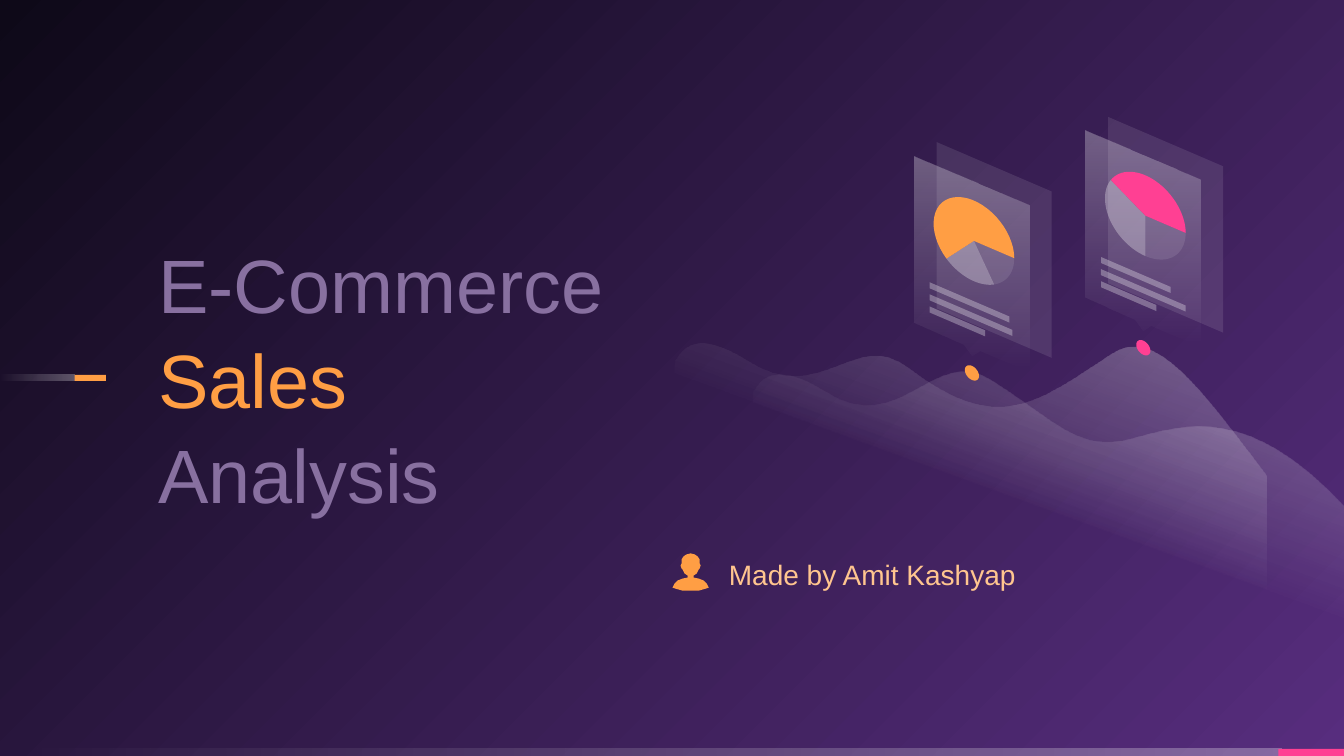
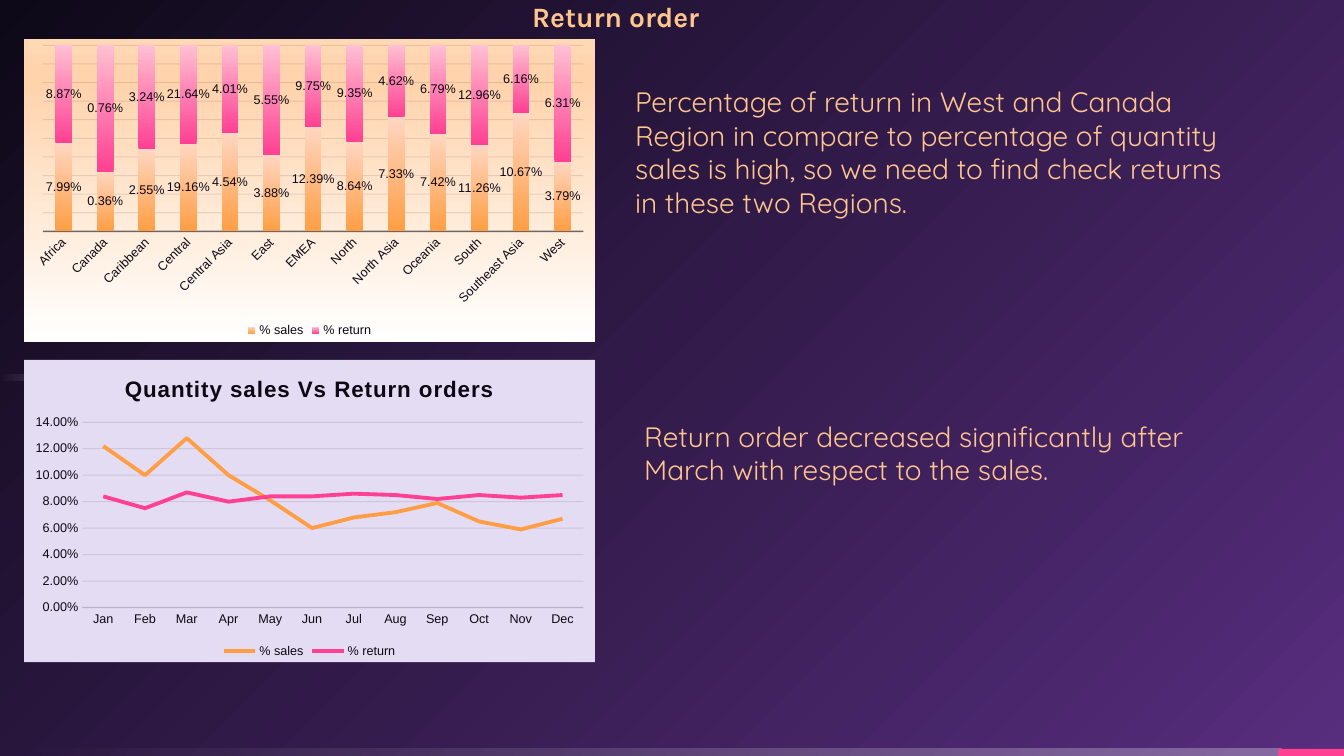
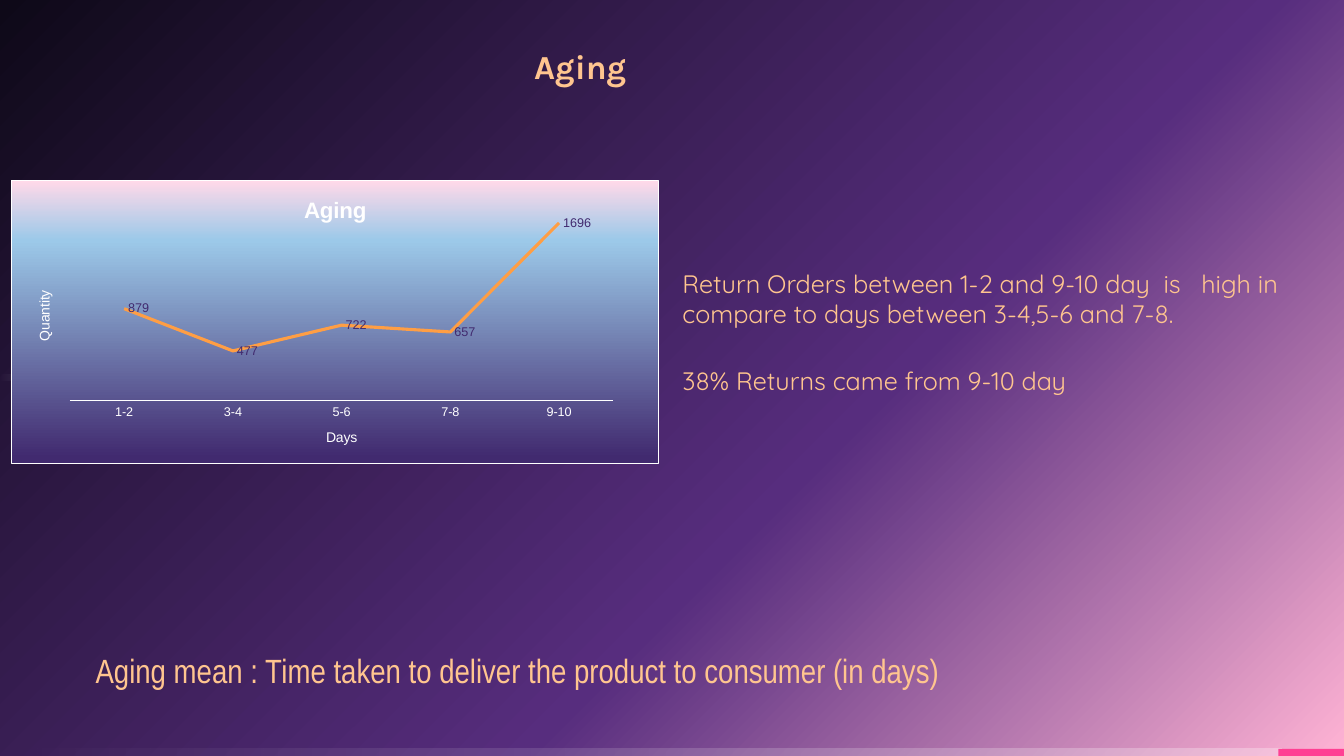
from math import cos, radians, sin

from pptx import Presentation
from pptx.chart.data import CategoryChartData
from pptx.dml.color import RGBColor
from pptx.enum.chart import (XL_CHART_TYPE, XL_LABEL_POSITION,
                             XL_LEGEND_POSITION, XL_TICK_MARK)
from pptx.enum.shapes import MSO_SHAPE
from pptx.enum.text import MSO_ANCHOR
from pptx.oxml import parse_xml
from pptx.oxml.ns import nsdecls, qn
from pptx.util import Inches, Pt

RECT = MSO_SHAPE.RECTANGLE
MIDDLE, TOP = MSO_ANCHOR.MIDDLE, MSO_ANCHOR.TOP
STACK, LINE = XL_CHART_TYPE.COLUMN_STACKED_100, XL_CHART_TYPE.LINE
BOTTOM, RIGHT = XL_LEGEND_POSITION.BOTTOM, XL_LABEL_POSITION.RIGHT
NO_TICK = XL_TICK_MARK.NONE

WHITE = RGBColor(0xFF, 0xFF, 0xFF)
ORANGE = RGBColor(0xFF, 0x9E, 0x44)
PINK = RGBColor(0xFF, 0x40, 0x93)
PEACH = RGBColor(0xFF, 0xC5, 0x8F)
MAUVE = RGBColor(0x88, 0x70, 0xA0)
PURPLE = RGBColor(0x57, 0x2D, 0x7E)
NIGHT = RGBColor(0x0E, 0x09, 0x18)
INK = RGBColor(0x0C, 0x08, 0x14)
RULE = RGBColor(0x0D, 0x09, 0x17)
INDIGO = RGBColor(0x41, 0x2A, 0x6F)
LILAC = RGBColor(0xE4, 0xDC, 0xF2)
ROSE = RGBColor(0xFF, 0xB3, 0xD4)
BLUSH = RGBColor(0xFF, 0xC0, 0xD2)
SKIN = RGBColor(0xFF, 0xD6, 0xC1)
CREAM = RGBColor(0xFF, 0xD8, 0xB4)
SAND = RGBColor(0xFF, 0xD3, 0xAB)
SKY = RGBColor(0x9C, 0xC9, 0xE9)
PALE = RGBColor(0xFF, 0xD9, 0xE9)

SLOPE = 0.43
GLOW = [(0, WHITE, 30), (100, WHITE, 0)]
MIST = [(0, WHITE, 30), (47, WHITE, 0), (100, WHITE, 0)]
CORNER = ('<a:path path="circle"><a:fillToRect l="100000" t="100000"/>'
          '</a:path>')


def tone(color, alpha=100):
    """Return the XML of one colour with its opacity in percent."""
    return (f'<a:srgbClr val="{color}"><a:alpha val="{alpha * 1000}"/>'
            '</a:srgbClr>')


def flat(color, alpha=100):
    """Return a solid fill element."""
    return parse_xml(f'<a:solidFill {nsdecls("a")}>{tone(color, alpha)}'
                     '</a:solidFill>')


def grad(stops, turn=None):
    """Return a gradient, linear at an angle or round from the corner."""
    marks = "".join(f'<a:gs pos="{stop[0] * 1000}">{tone(*stop[1:])}</a:gs>'
                    for stop in stops)
    way = CORNER if turn is None else f'<a:lin ang="{turn * 60000}"/>'
    return parse_xml(f'<a:gradFill {nsdecls("a")} rotWithShape="1">'
                     f'<a:gsLst>{marks}</a:gsLst>{way}</a:gradFill>')


def wash(fill, spot, paint):
    """Put a fill element in place of the fill held by spot."""
    fill.solid()
    spot.replace(spot.find(qn("a:solidFill")), paint)


def finish(shape, paint):
    """Fill a shape and leave it without line or shadow."""
    wash(shape.fill, shape.element.spPr, paint)
    shape.line.fill.background()
    shape.shadow.inherit = False


def bar(slide, x, y, w, h, paint):
    """Draw a plain rectangle."""
    finish(slide.shapes.add_shape(RECT, *map(Inches, (x, y, w, h))), paint)


def outline(slide, x, y, points, paint):
    """Draw a closed outline whose points are relative to x, y."""
    spots = [(Inches(x + dx), Inches(y + dy)) for dx, dy in points]
    pen = slide.shapes.build_freeform(*spots[0])
    pen.add_line_segments(spots[1:], close=True)
    finish(pen.convert_to_shape(), paint)


def curve(start, nodes, steps=16):
    """Turn corners (x, y) and Bézier nodes (six numbers) into points."""
    points = [start]
    for node in nodes:
        if len(node) == 2:
            points.append(node)
            continue
        pairs = [points[-1], node[:2], node[2:4], node[4:]]
        for step in range(1, steps + 1):
            t = step / steps
            parts = [(1 - t) ** 3, 3 * t * (1 - t) ** 2,
                     3 * t * t * (1 - t), t ** 3]
            points.append(tuple(sum(k * pair[i] for k, pair
                                    in zip(parts, pairs)) for i in (0, 1)))
    return points


def arc(x, y, r, first, last, steps=32):
    """Return points on a circle sheared along the slope of the cards."""
    turns = [radians(first + (last - first) * i / steps)
             for i in range(steps + 1)]
    return [(x + r * cos(t), y + r * sin(t) + SLOPE * r * cos(t))
            for t in turns]


def hill(slide, x, y, ridge):
    """Draw a fading hill; ridge runs from the right edge to the left."""
    head = [(0.13, -0.21, 0.05, 0.15, 0.01, 0.16),
            (0.01, 0.16, -0.01, 0.25, 0.01, 0.57), (5.87, 3.07), (5.87, 1.31)]
    outline(slide, x, y, curve((0.73, 0.17), head + ridge), grad(MIST, 110))


def card(slide, x, y, color, cuts, rows):
    """Draw a slanted card with pie, text rows and the dot under it."""
    outline(slide, x, y, arc(0.57, 2.15, 0.07, 0, 360), flat(color))
    outline(slide, x, y, [(0.22, -0.14), (1.36, 0.35), (1.36, 2),
                          (0.22, 1.51)], flat(WHITE, 10))
    outline(slide, x, y, [(1.14, 0.49), (0, 0), (0, 1.65), (0.49, 1.87),
                          (0.57, 1.98), (0.65, 1.93), (1.14, 2.14)],
            grad(GLOW, 90))
    paints = flat(WHITE, 10), flat(WHITE, 30), flat(color)
    hub = (0.59, 0.84)
    for first, last, paint in zip([0] + cuts, cuts + [360], paints):
        outline(slide, x, y, [hub] + arc(*hub, 0.4, first, last), paint)
    for i, w in enumerate(rows):
        top = 1.25 + 0.12 * i
        end = top + SLOPE * w
        outline(slide, x + 0.15, y, [(0, top), (w, end), (w, end + 0.06),
                                     (0, top + 0.06)], flat(WHITE, 30))


def person(slide, x, y):
    """Draw a bust, mirrored about the axis at x."""
    half = [(0, 0), (0.04, 0.01), (0.07, 0.03), (0.09, 0.06), (0.09, 0.1),
            (0.1, 0.12), (0.09, 0.15), (0.08, 0.16), (0.06, 0.2),
            (0.03, 0.22), (0.03, 0.24), (0.08, 0.25), (0.13, 0.27),
            (0.16, 0.3), (0.18, 0.34), (0.15, 0.35), (0.08, 0.37), (0, 0.37)]
    mirror = [(-dx, dy) for dx, dy in half[-2:0:-1]]
    outline(slide, x, y, half + mirror, flat(ORANGE))


def text(slide, box, lines, size, font="Quicksand", bold=None, inset=True,
         anchor=TOP, gap=0):
    """Write (words, colour) lines into a box."""
    frame = slide.shapes.add_textbox(*map(Inches, box)).text_frame
    frame.word_wrap = True
    frame.vertical_anchor = anchor
    if not inset:
        frame.margin_left = frame.margin_right = 0
        frame.margin_top = frame.margin_bottom = 0
    for i, (words, color) in enumerate(lines):
        para = frame.paragraphs[0] if i == 0 else frame.add_paragraph()
        para.text = words
        para.space_before = Pt(gap)
        style(para.font, size, color, font, bold)


def style(font, size, color, name="Arial", bold=None):
    """Set size, colour, face and weight of a font."""
    font.size, font.name, font.bold = Pt(size), name, bold
    font.color.rgb = color


def base(deck, paint):
    """Add a slide with background, footer band and side mark."""
    slide = deck.slides.add_slide(deck.slide_layouts[6])
    fill = slide.background.fill
    fill.solid()
    wash(fill, slide.element.find(".//" + qn("p:bgPr")), paint)
    bar(slide, 0, 7.43, 12.71, 0.07, grad(GLOW, 180))
    bar(slide, 12.68, 7.43, 0.66, 0.07, flat(PINK))
    bar(slide, 0, 3.72, 0.74, 0.06, grad(GLOW, 180))
    bar(slide, 0.74, 3.72, 0.31, 0.06, flat(ORANGE))
    return slide


def graph(slide, box, kind, cats, series, paint, color, form="General",
          edge=None):
    """Add a chart with a painted ground and a styled category axis."""
    data = CategoryChartData(number_format=form)
    data.categories = cats
    for name, vals in series:
        data.add_series(name, vals)
    chart = slide.shapes.add_chart(kind, *map(Inches, box), data).chart
    chart.font.size, chart.font.name = Pt(10), "Arial"
    chart.font.color.rgb = WHITE
    chart.has_title = chart.has_legend = False
    ground = parse_xml(f'<c:spPr {nsdecls("c", "a")}><a:ln w="9525">'
                       '<a:noFill/></a:ln></c:spPr>')
    ground.insert(0, paint)
    if edge is not None:
        ground[1].replace(ground[1][0], edge)
    chart.element.find(qn("c:chart")).addnext(ground)
    chart.plots[0].vary_by_categories = False
    for axis in (chart.category_axis, chart.value_axis):
        axis.major_tick_mark = axis.minor_tick_mark = NO_TICK
        style(axis.tick_labels.font, 9, color)
    chart.value_axis.has_major_gridlines = False
    return chart


def rule(chart, line, where, width, paint):
    """Draw an axis or grid line with a given paint."""
    line.width = Pt(width)
    line.fill.solid()
    wash(line.fill, chart.element.xpath(f"//{where}/c:spPr/a:ln")[0], paint)


def grid(chart):
    """Give a chart faint grid lines and a legend at the bottom."""
    axis = chart.value_axis
    axis.has_major_gridlines = True
    rule(chart, axis.major_gridlines.format.line, "c:majorGridlines", 0.75,
         flat(RULE, 10))
    chart.has_legend = True
    chart.legend.position = BOTTOM
    chart.legend.include_in_layout = False
    style(chart.legend.font, 9, INK)


def title(chart, words, color):
    """Write the chart title and return its run properties."""
    chart.has_title = True
    para = chart.chart_title.text_frame.paragraphs[0]
    run = para.add_run()
    run.text = words
    style(run.font, 16, color, bold=True)
    return run.font


def labels(owner, color, form, place=None):
    """Show the values of a series."""
    tags = owner.data_labels
    tags.show_value = True
    tags.number_format, tags.number_format_is_linked = form, False
    style(tags.font, 9, color)
    if place is not None:
        tags.position = place


def lines(chart, colors, width):
    """Colour the lines of a line chart."""
    for series, color in zip(chart.plots[0].series, colors):
        series.smooth = False
        series.format.line.width = Pt(width)
        series.format.line.color.rgb = color


def regions(slide, box):
    """Add the chart of sales and returns by region."""
    cats = ["Africa", "Canada", "Caribbean", "Central", "Central Asia",
            "East", "EMEA", "North", "North Asia", "Oceania", "South",
            "Southeast Asia", "West"]
    sales = [0.0799, 0.0036, 0.0255, 0.1916, 0.0454, 0.0388, 0.1239,
             0.0864, 0.0733, 0.0742, 0.1126, 0.1067, 0.0379]
    back = [0.0887, 0.0076, 0.0324, 0.2164, 0.0401, 0.0555, 0.0975,
            0.0935, 0.0462, 0.0679, 0.1296, 0.0616, 0.0631]
    paint = grad([(0, CREAM), (13, SAND), (100, WHITE)], 90)
    chart = graph(slide, box, STACK, cats,
                  [("% sales", sales), ("% return", back)], paint, INK,
                  "0.00%")
    grid(chart)
    chart.value_axis.visible = False
    rule(chart, chart.category_axis.format.line, "c:catAx", 1,
         flat(RULE, 54))
    chart.element.xpath("//c:catAx/c:txPr/a:bodyPr")[0].set("rot", "-2700000")
    plot = chart.plots[0]
    plot.gap_width, plot.overlap = 150, 100
    for i, ends in enumerate([(ORANGE, SKIN), (PINK, BLUSH)]):
        series = plot.series[i]
        series.format.fill.solid()
        wash(series.format.fill, chart.element.xpath("//c:ser/c:spPr")[i],
             grad([(0, ends[0]), (100, ends[1])], 270))
        labels(series, INK, "0.00%")


def months(slide, box):
    """Add the chart of sales and returns by month."""
    cats = "Jan Feb Mar Apr May Jun Jul Aug Sep Oct Nov Dec".split()
    sales = [0.122, 0.1, 0.128, 0.1, 0.081, 0.06, 0.068, 0.072, 0.079,
             0.065, 0.059, 0.067]
    back = [0.084, 0.075, 0.087, 0.08, 0.084, 0.084, 0.086, 0.085, 0.082,
            0.085, 0.083, 0.085]
    chart = graph(slide, box, LINE, cats,
                  [("% sales", sales), ("% return", back)], flat(LILAC),
                  INK, "0.00%")
    grid(chart)
    title(chart, "Quantity sales Vs Return orders", INK)
    chart.element.xpath("//c:title//a:r/a:rPr")[0].set("spc", "80")
    rule(chart, chart.category_axis.format.line, "c:catAx", 0.75,
         flat(RULE, 10))
    axis = chart.value_axis
    axis.minimum_scale, axis.maximum_scale, axis.major_unit = 0, 0.14, 0.02
    axis.format.line.fill.background()
    lines(chart, [ORANGE, PINK], 2.75)


def days(slide, box):
    """Add the chart of quantity by days of delivery."""
    paint = grad([(2, INDIGO), (79, SKY), (100, PALE)], 270)
    chart = graph(slide, box, LINE, ["1-2", "3-4", "5-6", "7-8", "9-10"],
                  [("Series 1", [879, 477, 722, 657, 1696])], paint, WHITE,
                  edge=flat(WHITE))
    title(chart, "Aging", WHITE)
    rule(chart, chart.category_axis.format.line, "c:catAx", 0.75,
         flat(WHITE))
    for axis, words in ((chart.category_axis, "Days"),
                        (chart.value_axis, "Quantity")):
        para = axis.axis_title.text_frame.paragraphs[0]
        para.text = words
        style(para.font, 10, WHITE, bold=False)
    axis.minimum_scale, axis.maximum_scale = 0, 1800
    axis.visible = False
    lines(chart, [ORANGE], 2.25)
    labels(chart.plots[0].series[0], INDIGO, "General", RIGHT)
    area = chart.element.find(".//" + qn("c:plotArea"))
    for old in area.findall(qn("c:layout")):
        area.remove(old)
    sizes = "".join(f'<c:{key} val="{val}"/>' for key, val in (
        ("layoutTarget", "inner"), ("xMode", "edge"), ("yMode", "edge"),
        ("x", 0.09), ("y", 0.11), ("w", 0.84), ("h", 0.67)))
    area.insert(0, parse_xml(f'<c:layout {nsdecls("c")}><c:manualLayout>'
                             f'{sizes}</c:manualLayout></c:layout>'))


def cover(deck):
    """Build the opening slide."""
    slide = base(deck, grad([(0, PURPLE), (100, NIGHT)]))
    text(slide, (1.57, 1.55, 4.68, 4.4),
         [("E-Commerce", MAUVE), ("Sales", ORANGE), ("Analysis", MAUVE)],
         54, "Arial", inset=False, anchor=MIDDLE, gap=3)
    hill(slide, 6.69, 3.41, [(5.2, 0.43, 4.76, -0.19, 4.33, 0.1),
                             (3.58, 0.59, 3.21, 0.92, 2.32, 0.24),
                             (1.79, -0.17, 1.45, 0.64, 0.73, 0.17)])
    hill(slide, 7.46, 3.72, [(4.92, 0.29, 4.3, 0.48, 3.76, 0.63),
                             (3.22, 0.77, 3.03, 0.47, 2.36, 0.05),
                             (1.8, -0.31, 1.46, 0.64, 0.73, 0.17)])
    card(slide, 10.77, 1.3, PINK, [90, 211], [0.69, 0.84, 0.55])
    card(slide, 9.07, 1.55, ORANGE, [60, 133], [0.79, 0.82, 0.55])
    person(slide, 6.85, 5.49)
    text(slide, (7.13, 5.48, 3.11, 0.44), [("Made by Amit Kashyap", PEACH)],
         20, "Arial")


def returns(deck):
    """Build the slide on returned orders."""
    slide = base(deck, grad([(0, PURPLE), (100, NIGHT)]))
    text(slide, (5.18, -0.05, 2.04, 0.44), [("Return order", PEACH)], 20,
         "Karla", True)
    regions(slide, (0.24, 0.39, 5.66, 3))
    text(slide, (6.2, 0.79, 6.22, 1.45),
         [("Percentage of return in West and Canada Region in compare to "
           "percentage of quantity sales is high, so we need to find check "
           "returns in these two Regions.", PEACH)], 20)
    text(slide, (6.29, 4.11, 5.87, 0.77),
         [("Return order decreased significantly after March with respect "
           "to the sales.", PEACH)], 20)
    months(slide, (0.24, 3.57, 5.66, 3))


def aging(deck):
    """Build the slide on delivery time."""
    slide = base(deck, grad([(0, ROSE), (39, PURPLE), (100, NIGHT)], 225))
    text(slide, (5.2, 0.41, 1.25, 0.5), [("Aging", PEACH)], 24, "Karla", True)
    days(slide, (0.11, 1.79, 6.43, 2.81))
    text(slide, (6.67, 2.61, 6.43, 0.71),
         [("Return Orders between 1-2 and 9-10 day  is   high in compare to "
           "days between 3-4,5-6 and 7-8.", PEACH)], 18)
    text(slide, (6.67, 3.58, 6.43, 0.4),
         [("38% Returns came from 9-10 day", PEACH)], 18)
    text(slide, (0.85, 6.4, 8.7, 0.5),
         [("Aging mean : Time taken to deliver the product to consumer "
           "(in days)", PEACH)], 24, "Arial Narrow")


deck = Presentation()
deck.slide_width, deck.slide_height = Inches(13.33), Inches(7.5)
cover(deck)
returns(deck)
aging(deck)
deck.save("out.pptx")
